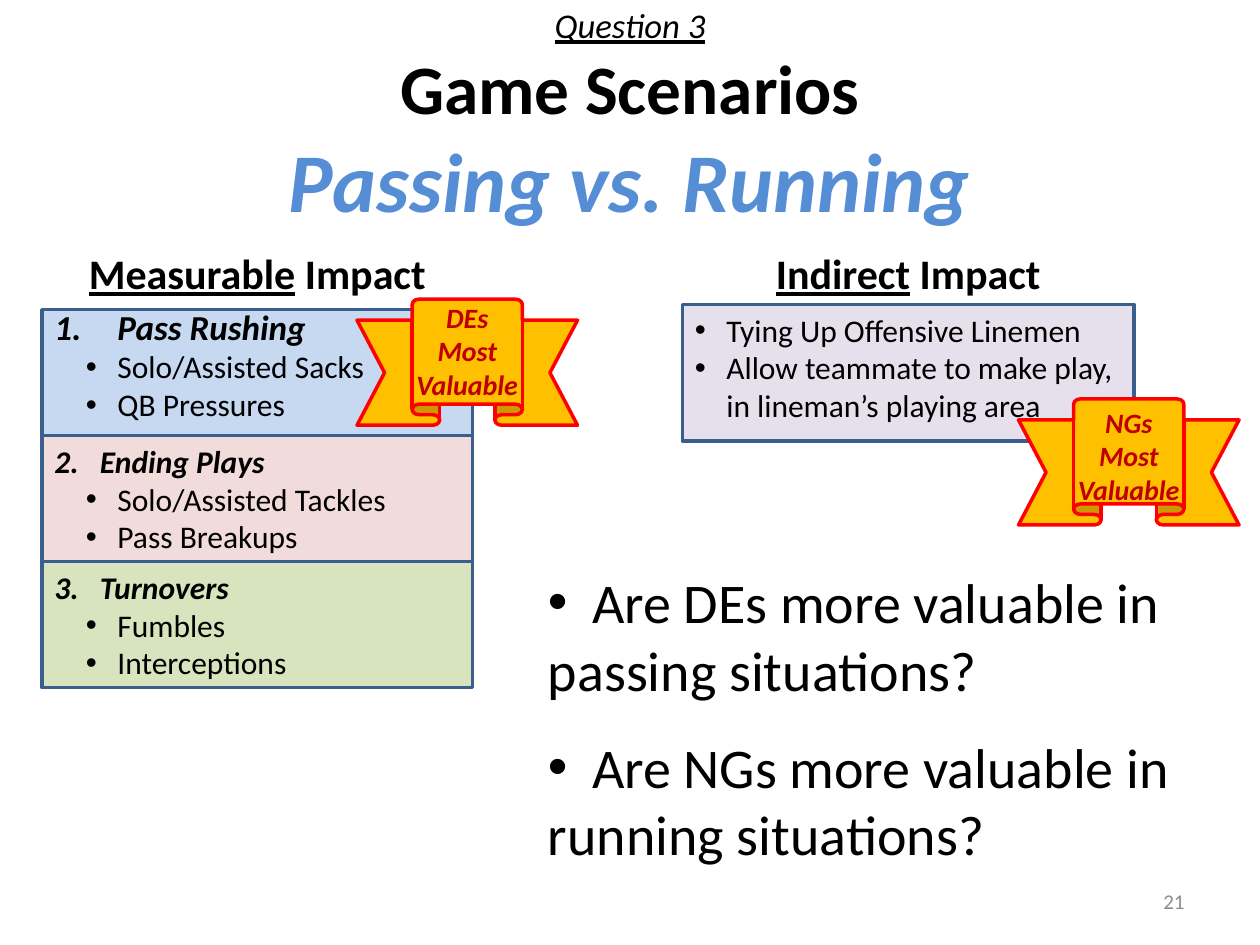
from lxml.etree import SubElement
from pptx import Presentation
from pptx.dml.color import RGBColor
from pptx.enum.shapes import MSO_SHAPE as Shape
from pptx.enum.text import MSO_ANCHOR as Anchor, PP_ALIGN as Align
from pptx.oxml.ns import qn
from pptx.util import Inches, Pt


def color(value):
    """Turn a hex string into a colour."""
    return RGBColor.from_string(value)


def write(paragraph, text, size=18, ink="000000", bold=False, italic=False, underline=False):
    """Add a formatted run to a paragraph."""
    run = paragraph.add_run()
    run.text = text
    font = run.font
    font.name, font.size = "Calibri", Pt(size)
    font.bold, font.italic, font.underline = bold, italic, underline
    font.color.rgb = color(ink)


def mark(paragraph, left=0, hang=0, number=None, tab=None):
    """Give a paragraph a bullet or a number, with its indents in inches."""
    props = paragraph._p.get_or_add_pPr()
    props.set("marL", str(Inches(left)))
    props.set("indent", str(-Inches(hang)))
    if number:
        SubElement(props, qn("a:buAutoNum"), type="arabicPeriod", startAt=str(number))
    else:
        SubElement(props, qn("a:buFont"), typeface="Arial")
        SubElement(props, qn("a:buChar"), char="•")
    if tab:
        stops = SubElement(props, qn("a:tabLst"))
        SubElement(stops, qn("a:tab"), pos=str(Inches(tab)), algn="l")


class Board:
    """Hold the slide, its grid of 120 columns by 90 rows, and its style."""

    outline = "3A5F8C"

    def __init__(self, deck):
        """Add a blank slide to the deck."""
        self.slide = deck.slides.add_slide(deck.slide_layouts[6])
        self.column, self.row = deck.slide_width / 120, deck.slide_height / 90

    def place(self, left, top, width, height):
        """Turn grid columns and rows into lengths."""
        return (round(left * self.column), round(top * self.row),
                round(width * self.column), round(height * self.row))

    def shape(self, kind, area, fill, line=outline):
        """Draw a filled and outlined preset shape."""
        shape = self.slide.shapes.add_shape(kind, *self.place(*area))
        shape.shadow.inherit = False
        shape.fill.solid()
        shape.fill.fore_color.rgb = color(fill)
        shape.line.color.rgb = color(line)
        shape.line.width = Pt(2)

    def text(self, area, count=1, align=Align.LEFT, anchor=Anchor.TOP):
        """Add a text box and return its paragraphs."""
        frame = self.slide.shapes.add_textbox(*self.place(*area)).text_frame
        frame.word_wrap, frame.vertical_anchor = True, anchor
        for _ in range(count - 1):
            frame.add_paragraph()
        for paragraph in frame.paragraphs:
            paragraph.alignment = align
        return frame.paragraphs

    def heading(self, left, stressed, rest):
        """Write a column heading with its first word underlined."""
        heading, = self.text((left, 23, 49, 6), align=Align.CENTER)
        write(heading, stressed, size=24, bold=True, underline=True)
        write(heading, rest, size=24, bold=True)

    def bullets(self, paragraphs, items):
        """Write one bulleted item in each paragraph."""
        for paragraph, item in zip(paragraphs, items):
            mark(paragraph, left=0.5, hang=0.25)
            write(paragraph, item)

    def category(self, number, top, title, items, size=18, hang=0.36):
        """Write a numbered title with its bulleted items."""
        first, *others = self.text((4, top, 52, 12), 1 + len(items))
        mark(first, left=hang, hang=hang, number=number)
        write(first, title, size=size, bold=True, italic=True)
        self.bullets(others, items)

    def ribbon(self, left, top, label_top, position):
        """Draw a ribbon naming the most valuable position."""
        self.shape(Shape.UP_RIBBON, (left, top, 21, 12), "FFC000", "FF0000")
        lines = self.text((left + 3, label_top, 15, 11), 2, Align.CENTER)
        for line, words in zip(lines, (position, "Most Valuable")):
            write(line, words, size=16, ink="C00000", bold=True, italic=True)


def main():
    """Build and save the slide."""
    deck = Presentation()
    deck.slide_width, deck.slide_height = Inches(10), Inches(7.5)
    board = Board(deck)

    page, = board.text((86, 83.4, 28, 4.8), align=Align.RIGHT, anchor=Anchor.MIDDLE)
    write(page, "21", size=12, ink="8C8C8C")

    question, topic, contrast = board.text((6, 3.6, 108, 15), 3, Align.CENTER, Anchor.MIDDLE)
    write(question, "Question 3", size=19.8, italic=True, underline=True)
    write(topic, "Game Scenarios", size=39.6, bold=True)
    write(contrast, "Passing vs. Running", size=47.7, ink="558ED5", bold=True, italic=True)

    for order, fill in enumerate(("C6D9F1", "F2DCDB", "D7E4BD")):
        board.shape(Shape.RECTANGLE, (4, 29.5 + 12 * order, 41, 12), fill)
    board.shape(Shape.RECTANGLE, (65, 29, 43, 13), "E6E0EC")

    board.heading(0, "Measurable", " Impact")
    board.heading(62, "Indirect", " Impact")

    board.category(1, 28.5, "Pass Rushing", ("Solo/Assisted Sacks", "QB Pressures"),
                   size=20, hang=0.5)
    board.category(2, 41.5, "Ending Plays", ("Solo/Assisted Tackles", "Pass Breakups"))
    board.category(3, 53.5, "Turnovers", ("Fumbles", "Interceptions"))
    board.bullets(board.text((62, 29, 48, 12), 2), (
        "Tying Up Offensive Linemen",
        "Allow teammate to make play, in lineman’s playing area"))

    board.ribbon(34, 28.5, 28, "DEs")
    board.ribbon(97, 38, 38, "NGs")

    questions = board.text((51, 53.5, 69, 30), 2)
    for paragraph, (position, situation) in zip(questions, (("DEs", "passing"), ("NGs", "running"))):
        mark(paragraph, tab=0.35)
        write(paragraph, f"\tAre {position} more valuable in {situation} situations?", size=32)
    questions[1].space_before = Pt(17)

    deck.save("out.pptx")


if __name__ == "__main__":
    main()
